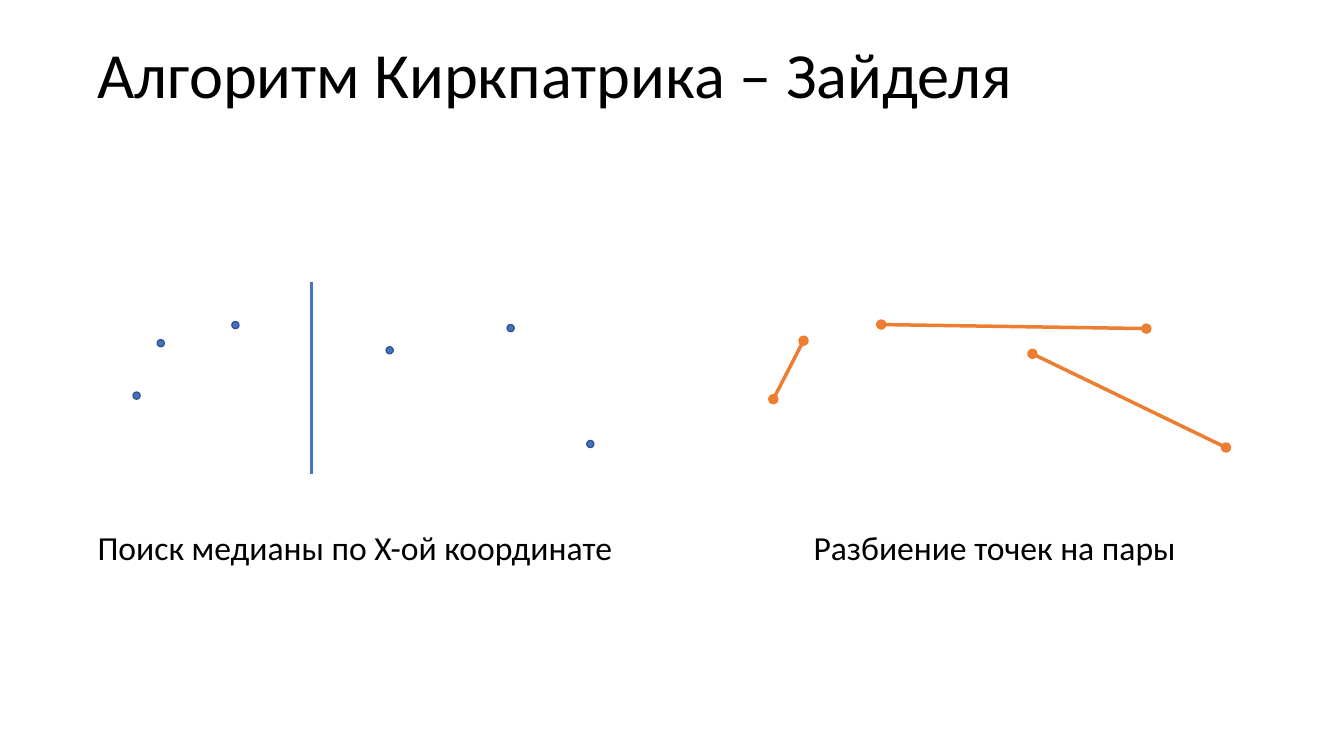
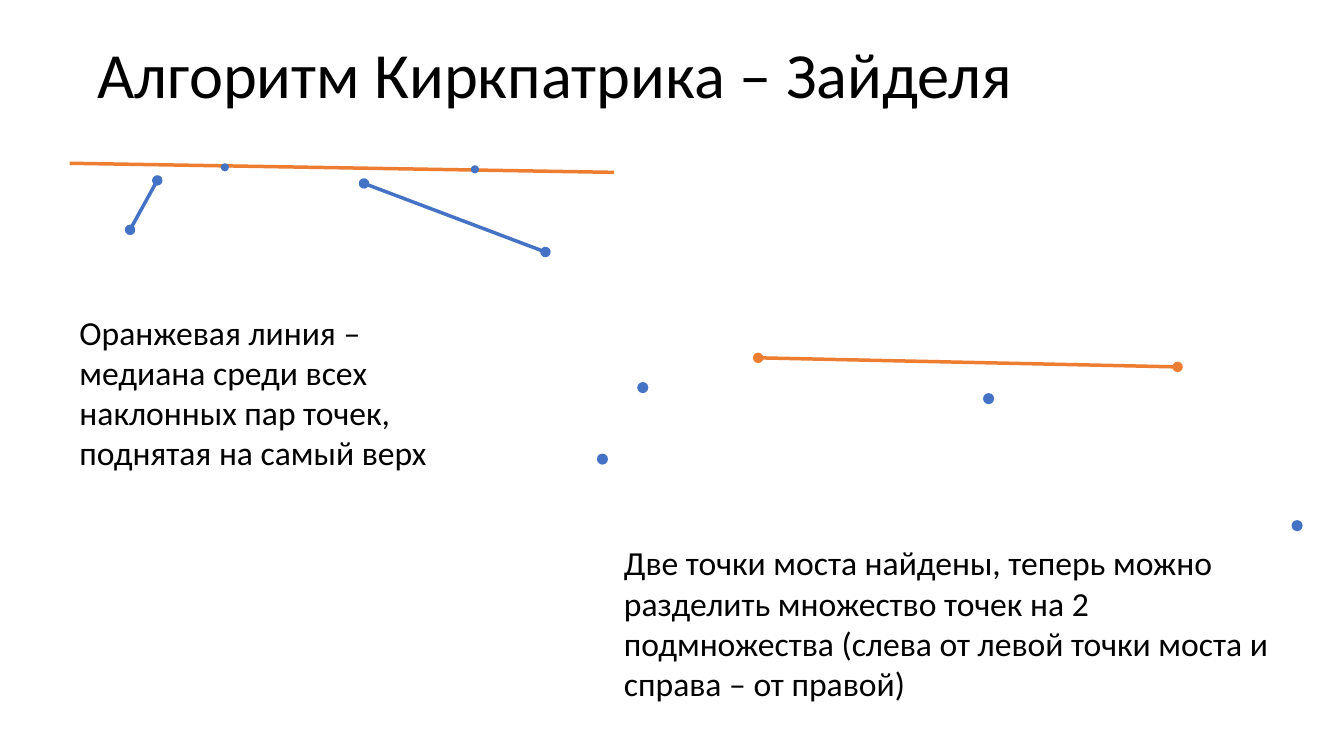
from pptx import Presentation
from pptx.dml.color import RGBColor
from pptx.enum.shapes import MSO_CONNECTOR, MSO_SHAPE
from pptx.enum.text import MSO_ANCHOR
from pptx.oxml.ns import qn
from pptx.util import Inches, Pt
from lxml.etree import SubElement

BLACK = RGBColor(0x00, 0x00, 0x00)
BLUE = RGBColor(0x44, 0x72, 0xC4)
DARK_BLUE = RGBColor(0x32, 0x54, 0x91)
ORANGE = RGBColor(0xED, 0x7D, 0x31)
FONT = "Calibri"
TITLE = "Алгоритм Киркпатрика – Зайделя"

slides = [
    {
        "captions": [
            ("Поиск медианы по X-ой координате", 0.87, 5.18, 5.43, 0.5),
            ("Разбиение точек на пары", 7.97, 5.18, 3.82, 0.5),
        ],
        "lines": [
            (3.09, 2.8, 3.09, 4.7, BLUE, False),
            (7.67, 3.96, 7.97, 3.38, ORANGE, True),
            (8.74, 3.22, 11.37, 3.26, ORANGE, True),
            (10.24, 3.51, 12.16, 4.44, ORANGE, True),
        ],
        "outline": DARK_BLUE,
        "dots": [
            (0.07, [(1.32, 3.89), (1.56, 3.37), (2.3, 3.19),
                    (3.83, 3.44), (5.03, 3.22), (5.82, 4.37)]),
        ],
    },
    {
        "captions": [
            ("Оранжевая линия – медиана среди всех наклонных пар точек, "
             "поднятая на самый верх", 0.69, 3.04, 3.84, 1.72),
            ("Две точки моста найдены, теперь можно разделить множество точек "
             "на 2 подмножества (слева от левой точки моста и справа – от правой)",
             6.09, 5.33, 6.72, 1.72),
        ],
        "lines": [
            (1.29, 2.28, 1.56, 1.79, BLUE, True),
            (0.69, 1.62, 6.09, 1.71, ORANGE, False),
            (3.61, 1.82, 5.41, 2.5, BLUE, True),
            (7.52, 3.55, 11.68, 3.64, ORANGE, True),
        ],
        "outline": None,
        "dots": [
            (0.08, [(2.19, 1.62), (4.67, 1.64)]),
            (0.11, [(5.92, 4.5), (6.32, 3.79), (9.75, 3.9), (12.81, 5.16)]),
        ],
    },
]


def add_text(s, text, x, y, w, h, size=24):
    tf = s.shapes.add_textbox(Inches(x), Inches(y), Inches(w), Inches(h)).text_frame
    tf.word_wrap = True
    tf.text = text
    font = tf.paragraphs[0].runs[0].font
    font.name = FONT
    font.size = Pt(size)
    font.color.rgb = BLACK
    return tf


def add_line(s, x1, y1, x2, y2, color, oval_ends):
    line = s.shapes.add_connector(
        MSO_CONNECTOR.STRAIGHT, Inches(x1), Inches(y1), Inches(x2), Inches(y2))
    line.line.color.rgb = color
    line.line.width = Pt(2.5)
    if oval_ends:
        ln = line.line._get_or_add_ln()
        for end in ("a:headEnd", "a:tailEnd"):
            SubElement(ln, qn(end), type="oval")
    SubElement(line._element.spPr, qn("a:effectLst"))


prs = Presentation()
prs.slide_width = Inches(13.33)
prs.slide_height = Inches(7.5)

for content in slides:
    s = prs.slides.add_slide(prs.slide_layouts[6])
    tf = add_text(s, TITLE, 0.87, 0.36, 11.3, 0.83, 46)
    tf.vertical_anchor = MSO_ANCHOR.MIDDLE
    tf.paragraphs[0].line_spacing = 0.9

    for caption in content["captions"]:
        add_text(s, *caption)

    for line in content["lines"]:
        add_line(s, *line)

    for size, points in content["dots"]:
        for x, y in points:
            dot = s.shapes.add_shape(
                MSO_SHAPE.OVAL, Inches(x), Inches(y), Inches(size), Inches(size))
            dot.shadow.inherit = False
            dot.fill.solid()
            dot.fill.fore_color.rgb = BLUE
            if content["outline"]:
                dot.line.color.rgb = content["outline"]
                dot.line.width = Pt(1)
            else:
                dot.line.fill.background()

prs.save("out.pptx")
